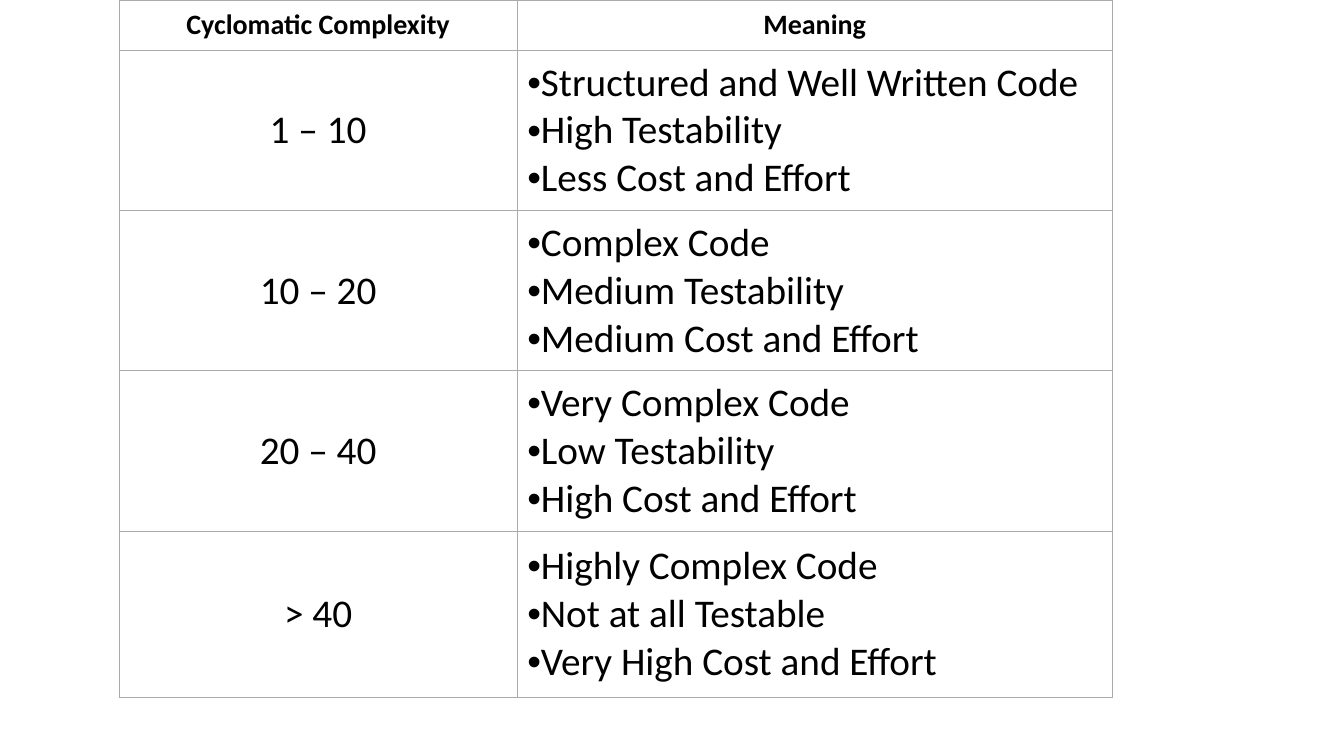
from lxml import etree
from pptx import Presentation
from pptx.dml.color import RGBColor
from pptx.enum.text import MSO_ANCHOR, PP_ALIGN
from pptx.oxml.ns import qn
from pptx.util import Inches, Pt

# Content
HEADINGS = ("Cyclomatic Complexity", "Meaning")
RANGES = [
    ("1 – 10", ["Structured and Well Written Code", "High Testability", "Less Cost and Effort"]),
    ("10 – 20", ["Complex Code", "Medium Testability", "Medium Cost and Effort"]),
    ("20 – 40", ["Very Complex Code", "Low Testability", "High Cost and Effort"]),
    ("> 40", ["Highly Complex Code", "Not at all Testable", "Very High Cost and Effort"]),
]

# Layout and style
LEFT, TOP = 1.18, 0
COLUMN_WIDTHS = (3.95, 5.9)
ROW_HEIGHTS = (0.5, 1.59, 1.59, 1.59, 1.65)
FONT = "Calibri"
BLACK = RGBColor(0x00, 0x00, 0x00)
WHITE = RGBColor(0xFF, 0xFF, 0xFF)
GREY = RGBColor(0xAA, 0xAA, 0xAA)


def add_borders(cell):
    properties = cell._tc.get_or_add_tcPr()
    for side in ("a:lnL", "a:lnR", "a:lnT", "a:lnB"):
        line = etree.SubElement(properties, qn(side), w=str(Pt(0.75)))
        fill = etree.SubElement(line, qn("a:solidFill"))
        etree.SubElement(fill, qn("a:srgbClr"), val=str(GREY))


def add_bullet(paragraph):
    properties = paragraph._p.get_or_add_pPr()
    properties.set("marL", "0")
    properties.set("indent", "0")
    etree.SubElement(properties, qn("a:buFont"), typeface="Arial")
    etree.SubElement(properties, qn("a:buChar"), char="•")


def fill_cell(cell, lines, size, bold=False, bulleted=False):
    add_borders(cell)
    cell.fill.solid()
    cell.fill.fore_color.rgb = WHITE
    cell.vertical_anchor = MSO_ANCHOR.MIDDLE
    cell.margin_left = cell.margin_right = Inches(0.1)
    cell.margin_top = cell.margin_bottom = Inches(0.08)
    cell.text = "\n".join(lines)
    for paragraph in cell.text_frame.paragraphs:
        if bulleted:
            add_bullet(paragraph)
        paragraph.alignment = PP_ALIGN.LEFT if bulleted else PP_ALIGN.CENTER
        font = paragraph.font
        font.name, font.size, font.bold = FONT, Pt(size), bold
        font.color.rgb = BLACK
        for run in paragraph.runs:
            run.font.bold = bold


def main():
    presentation = Presentation()
    presentation.slide_width = Inches(13.33)
    presentation.slide_height = Inches(7.5)
    slide = presentation.slides.add_slide(presentation.slide_layouts[6])

    # Table grid
    table = slide.shapes.add_table(
        len(ROW_HEIGHTS), len(COLUMN_WIDTHS), Inches(LEFT), Inches(TOP),
        Inches(sum(COLUMN_WIDTHS)), Inches(sum(ROW_HEIGHTS))).table
    table.horz_banding = False
    for column, width in zip(table.columns, COLUMN_WIDTHS):
        column.width = Inches(width)
    for row, height in zip(table.rows, ROW_HEIGHTS):
        row.height = Inches(height)

    # Header row, then one row per complexity range
    for index, heading in enumerate(HEADINGS):
        fill_cell(table.cell(0, index), [heading], 20, bold=True)
    for index, (complexity, meanings) in enumerate(RANGES, start=1):
        fill_cell(table.cell(index, 0), [complexity], 28)
        fill_cell(table.cell(index, 1), meanings, 28, bulleted=True)

    presentation.save("out.pptx")


if __name__ == "__main__":
    main()
